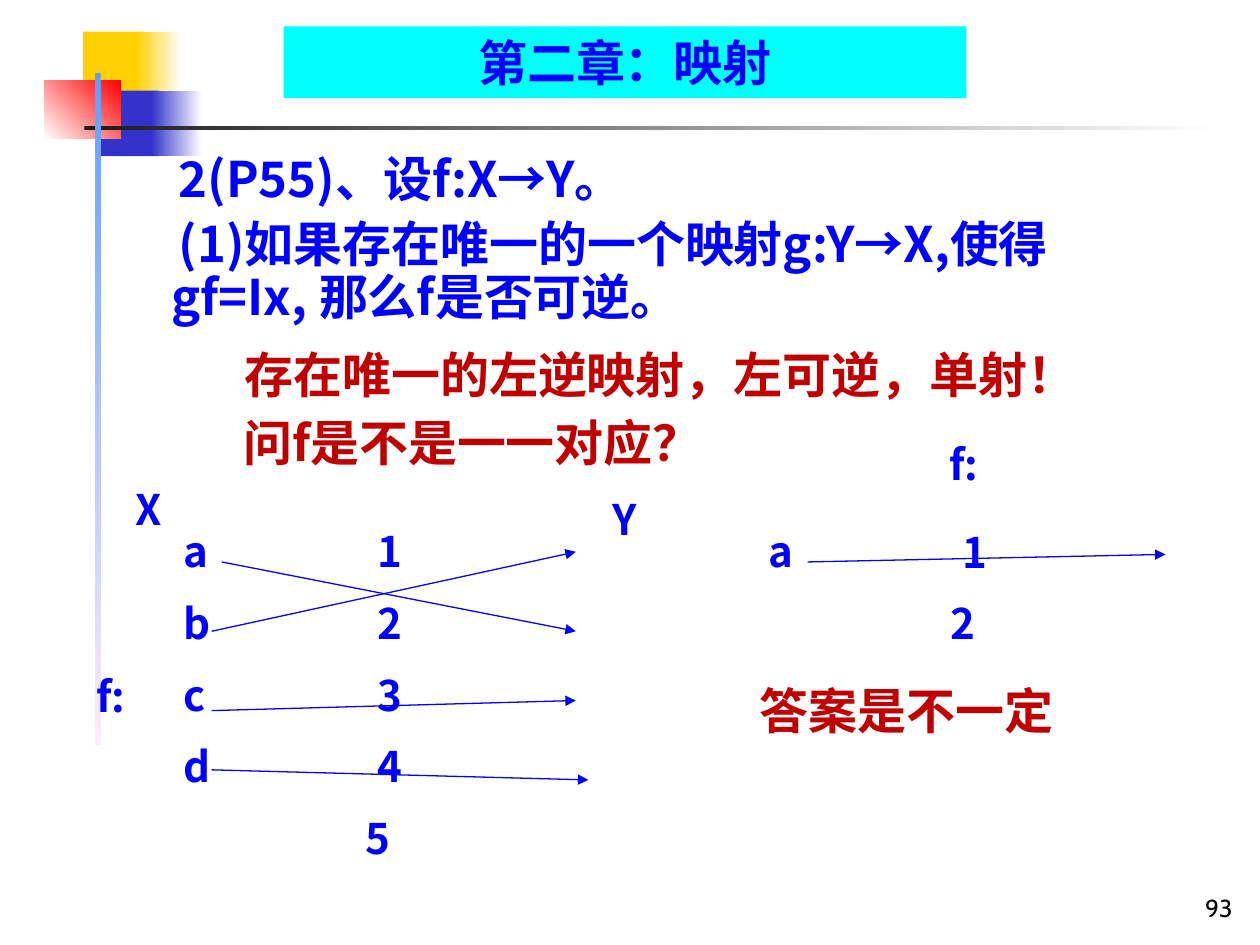
from lxml.etree import SubElement
from pptx import Presentation
from pptx.dml.color import RGBColor
from pptx.enum.shapes import MSO_CONNECTOR as Connector, MSO_SHAPE as Shape
from pptx.enum.text import MSO_ANCHOR as Anchor, PP_ALIGN as Align
from pptx.oxml.ns import qn
from pptx.util import Inches, Pt

# Slide grid: 100 columns by 75 rows of square cells
COLUMNS = 100
WIDTH, HEIGHT = Inches(10), Inches(7.5)
CELL = WIDTH / COLUMNS

THEME = {
    "body_font": "Noto Sans CJK SC", "number_font": "Cabin",
    "blue": "0000FF", "red": "C00000", "black": "000000",
    "banner": "00FFFF", "white": "FFFFFF",
    "gold": "FFCF01", "indigo": "3333CC", "scarlet": "FF0000",
    "ink": "1C1C1C", "sky": "5E9EFF", "blush": "FFEBFA",
    "large": 28, "medium": 24, "small": 14, "arrow": 0.75,
}

# (left, top, width, height), colours, clockwise gradient angle
ORNAMENTS = [
    ((6.6, 2.5, 4.8, 5.2), ["gold"], 0),
    ((10.8, 2.5, 3.6, 5.2), ["gold", "white"], 0),
    ((8, 7.2, 4.6, 5.2), ["indigo"], 0),
    ((12, 7.2, 4, 5.2), ["indigo", "white"], 0),
    ((3.5, 6.4, 6.1, 4.6), ["white", "scarlet"], 315),
    ((6.7, 10, 90, 0.3), ["ink", "white"], 0),
    ((7.5, 5.8, 0.5, 53.3), ["sky", "blush"], 90),
]

TITLE = ((22.5, 2.1, 54.2, 5.7), "第二章：映射")
PAGE_NUMBER = ((78, 68.7, 20.8, 5), "93")
QUESTION = ((9.8, 12.3, 82.7, 13.6), [
    "2(P55)、设f:X→Y。",
    "(1)如果存在唯一的一个映射g:Y→X,使得gf=Ix, 那么f是否可逆。",
])
REMARKS = [
    ((19.4, 27.9, 66.8, 4.2), "存在唯一的左逆映射，左可逆，单射！"),
    ((19.3, 33.3, 38.6, 4.2), "问f是不是一一对应？"),
    ((60.3, 54.5, 25.1, 4.2), "答案是不一定"),
]
SET_LABELS = [
    ((5.9, 53.2), "f:"), ((9, 38.3), "X"), ((46.9, 39.1), "Y"), ((73.6, 34.8), "f:"),
]
LABEL_SIZE = (8.6, 5.7)
# (left, top), elements of X, elements of Y
MAPPINGS = [
    ((14.6, 42.2), "abcd", "12345"),
    ((61, 42.2), "a", "12"),
]
ELEMENT_PITCH, ELEMENT_WIDTH = 5.6, 6
PAIRED_OFFSET, LONE_OFFSET = 15.4, 14.4
ARROWS = [
    ((16.8, 50.1), (45.7, 43.8)),
    ((16.8, 61.1), (46.7, 61.9)),
    ((17.6, 44.6), (45.7, 50.1)),
    ((16.8, 56.4), (45.7, 55.6)),
    ((64.1, 44.6), (92.5, 44)),
]


def cells(*counts):
    return [round(count * CELL) for count in counts]


def color(name):
    return RGBColor.from_string(THEME[name])


def set_all(target, formats):
    for attribute, value in formats.items():
        setattr(target, attribute, value)


def set_indent(paragraph, margin, offset=0):
    """Set the left margin and the first-line offset, both in cells."""
    properties = paragraph._p.get_or_add_pPr()
    for attribute, length in zip(("marL", "indent"), cells(margin, offset)):
        properties.set(attribute, str(length))


def add_block(slide, at, fills, angle=0):
    """Add a borderless rectangle with a plain or a two-stop gradient fill."""
    block = slide.shapes.add_shape(Shape.RECTANGLE, *cells(*at))
    block.shadow.inherit = False
    block.line.fill.background()
    if len(fills) == 1:
        block.fill.solid()
        block.fill.fore_color.rgb = color(fills[0])
    else:
        block.fill.gradient()
        block.fill.gradient_angle = -angle % 360
        for stop, name in zip(block.fill.gradient_stops, fills):
            stop.color.rgb = color(name)
    return block


def prepare_frame(shape, padded=False, anchor=Anchor.TOP):
    side, end = cells(1, 0.5) if padded else (0, 0)
    frame = shape.text_frame
    set_all(frame, {
        "word_wrap": True, "vertical_anchor": anchor,
        "margin_left": side, "margin_right": side,
        "margin_top": end, "margin_bottom": end,
    })
    return frame


def write(frame, lines, size="large", ink="blue", font="body_font", align=Align.LEFT,
          spacing=0.9, gap=0, indent=(0, 0)):
    for index, line in enumerate(lines):
        paragraph = frame.paragraphs[0] if index == 0 else frame.add_paragraph()
        set_all(paragraph, {"alignment": align, "line_spacing": spacing,
                            "space_before": Pt(gap if index else 0)})
        set_indent(paragraph, *indent)
        run = paragraph.add_run()
        run.text = line
        set_all(run.font, {"name": THEME[font], "size": Pt(THEME[size]),
                           "bold": font == "body_font"})
        run.font.color.rgb = color(ink)
        SubElement(run.font._element, qn("a:ea"), typeface=THEME[font])


def add_text(slide, at, lines, padded=False, anchor=Anchor.TOP, **style):
    frame = prepare_frame(slide.shapes.add_textbox(*cells(*at)), padded, anchor)
    write(frame, lines, **style)
    return frame


def add_mapping(slide, corner, sources, targets):
    """List X and Y in two columns; targets without a source stand further left."""
    left, top = corner
    for offset, elements in ((0, sources), (LONE_OFFSET, targets)):
        at = (left + offset, top, ELEMENT_WIDTH, ELEMENT_PITCH * len(elements))
        frame = add_text(slide, at, elements, size="medium", gap=15)
    for paragraph, _ in zip(frame.paragraphs, sources):
        set_indent(paragraph, PAIRED_OFFSET - LONE_OFFSET)


def add_arrow(slide, start, end):
    arrow = slide.shapes.add_connector(Connector.STRAIGHT, *cells(*start, *end))
    arrow.line.width = Pt(THEME["arrow"])
    arrow.line.color.rgb = color("blue")
    SubElement(arrow.line._get_or_add_ln(), qn("a:tailEnd"), type="triangle")
    SubElement(arrow._element.spPr, qn("a:effectLst"))


def main():
    deck = Presentation()
    set_all(deck, {"slide_width": WIDTH, "slide_height": HEIGHT})
    slide = deck.slides.add_slide(deck.slide_layouts[6])

    for at, fills, angle in ORNAMENTS:
        add_block(slide, at, fills, angle)

    at, number = PAGE_NUMBER
    add_text(slide, at, [number], padded=True, anchor=Anchor.BOTTOM, size="small",
             ink="black", font="number_font", align=Align.RIGHT, spacing=1.0)
    at, lines = QUESTION
    add_text(slide, at, lines, gap=7, indent=(3.8, 0.6))
    at, title = TITLE
    banner = add_block(slide, at, ["banner"])
    write(prepare_frame(banner, padded=True), [title], align=Align.CENTER, spacing=1.0)

    for at, remark in REMARKS:
        add_text(slide, at, [remark], ink="red")
    for corner, sources, targets in MAPPINGS:
        add_mapping(slide, corner, sources, targets)
    for corner, label in SET_LABELS:
        add_text(slide, corner + LABEL_SIZE, [label], padded=True, size="medium",
                 indent=(0.75, 0))
    for start, end in ARROWS:
        add_arrow(slide, start, end)

    deck.save("out.pptx")


if __name__ == "__main__":
    main()
